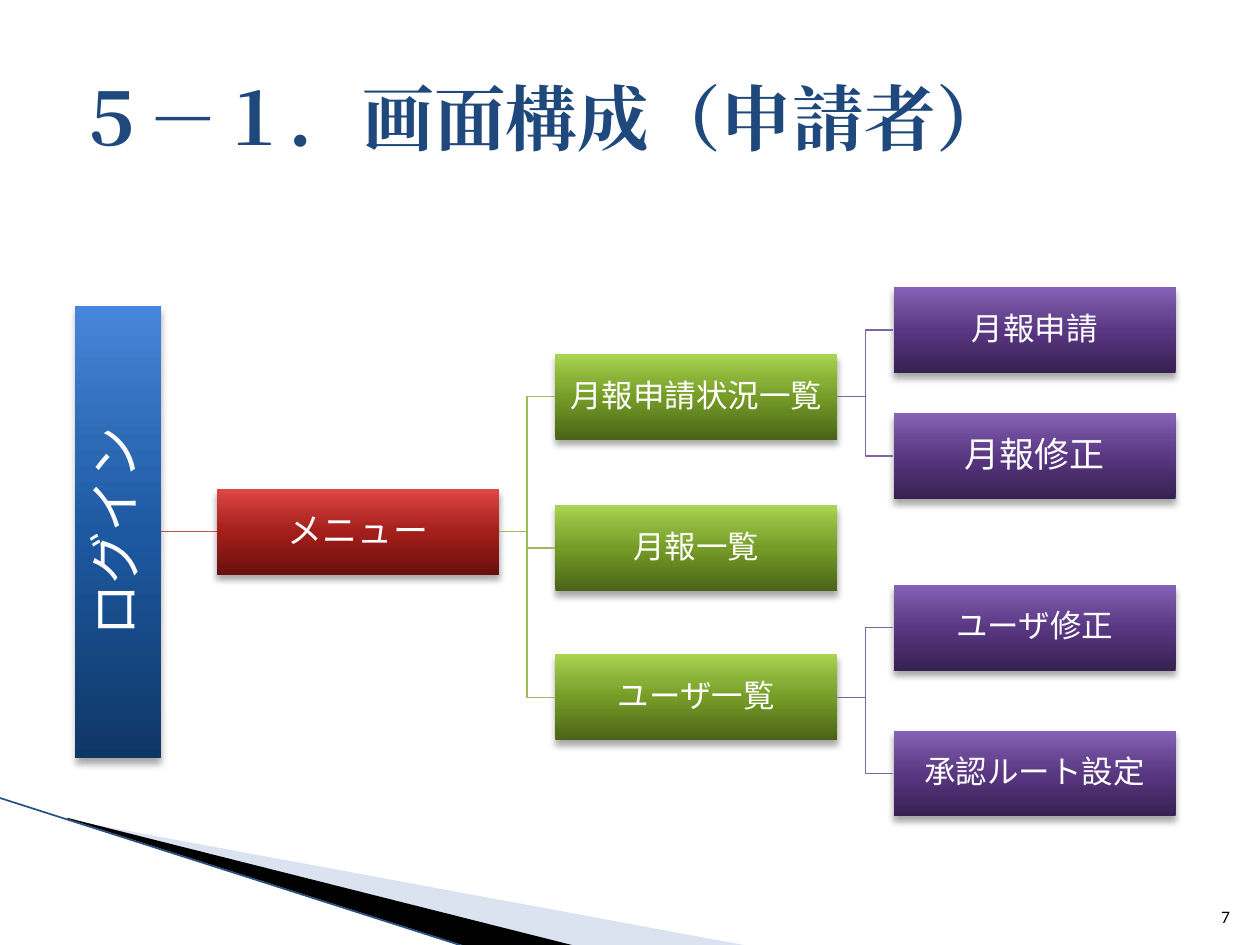
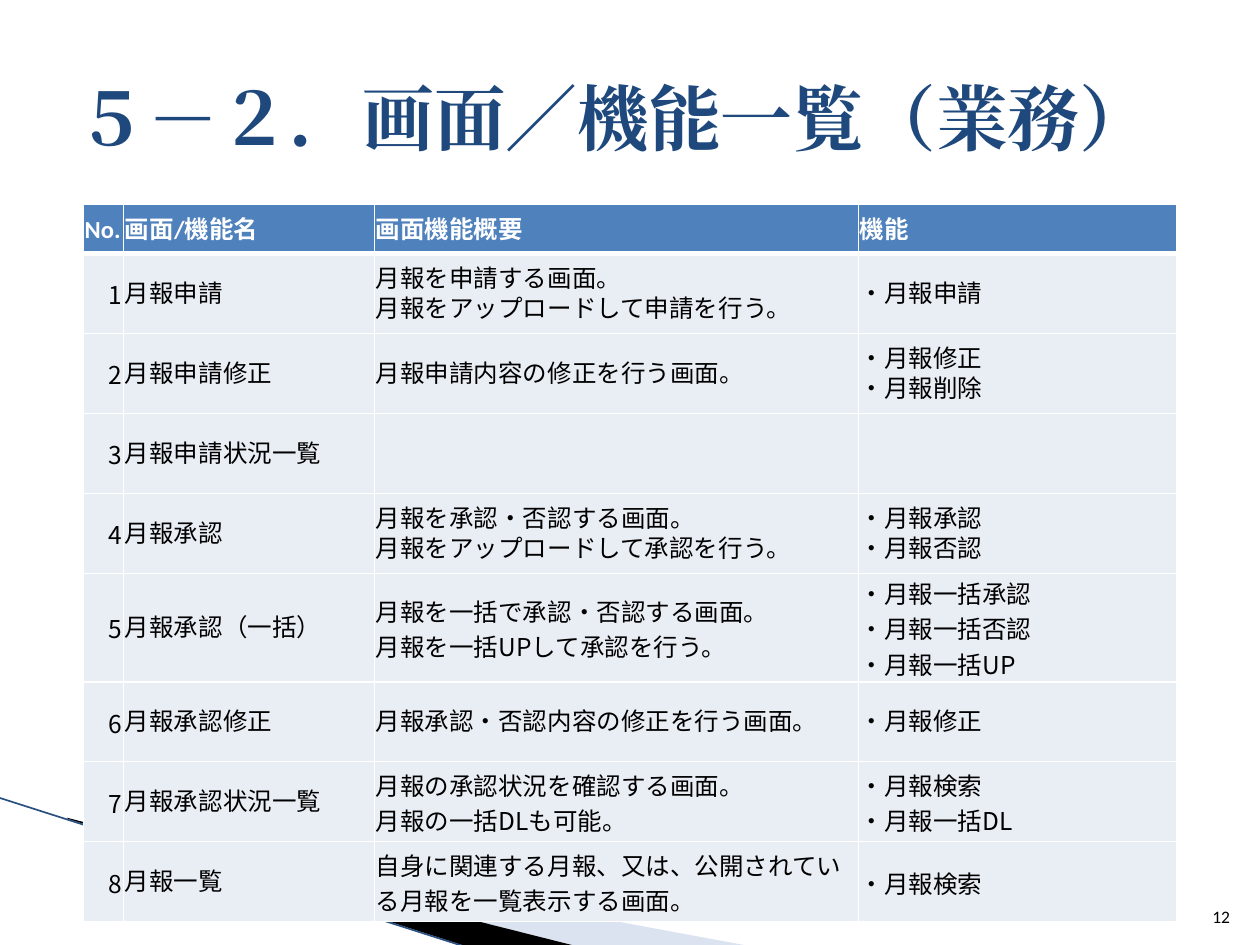
from dataclasses import dataclass
from typing import Optional

from lxml.etree import SubElement
from pptx import Presentation
from pptx.dml.color import RGBColor
from pptx.enum.shapes import MSO_CONNECTOR as Link, MSO_SHAPE as Preset
from pptx.enum.text import MSO_ANCHOR as Anchor, PP_ALIGN as Align
from pptx.oxml.ns import qn
from pptx.util import Pt

COLORS = {
    "title": "1F497D", "text": "000000", "white": "FFFFFF",
    "band_light": "A7B9DB", "band_dark": "000000", "band_line": "2A5082",
    "header": "4F81BD", "body": "E9EDF4",
    "red_line": "C0504D", "green_line": "9BBB59", "purple_line": "8064A2",
}
# Gradients run from the bottom edge to the top edge
GRADIENTS = {
    "blue": ("0F3766", "1D59A1", "2D6AB6", "4786DB"),
    "red": ("68100E", "A41E1A", "B92E2A", "DF4845"),
    "green": ("4A6316", "769C27", "89B137", "A9D651"),
    "purple": ("372152", "593782", "6A4895", "8763B7"),
}
STOPS = (0, 50, 70, 100)
LATIN, TITLE_FONT, JAPANESE = "Calibri", "Cambria", "Noto Sans CJK JP"


@dataclass
class Node:
    """One screen in the hierarchy; level 0 is the login bar."""
    label: str
    level: int
    middle: float
    parent: Optional[str] = None
    size: int = 18


@dataclass
class Screen:
    """One row of the function table."""
    name: str
    summary: tuple = ()
    features: tuple = ()
    font: str = LATIN


NODES = [
    Node("ログイン", 0, 303.9, size=30),
    Node("メニュー", 1, 303.9, "ログイン", 20),
    Node("月報申請状況一覧", 2, 226.8, "メニュー"),
    Node("月報一覧", 2, 313.2, "メニュー"),
    Node("ユーザ一覧", 2, 398.4, "メニュー"),
    Node("月報申請", 3, 188.6, "月報申請状況一覧"),
    Node("月報修正", 3, 260.6, "月報申請状況一覧", 20),
    Node("ユーザ修正", 3, 358.7, "ユーザ一覧"),
    Node("承認ルート設定", 3, 442, "ユーザ一覧"),
]
LEVEL_COLORS = ("blue", "red", "green", "purple")
LEVEL_LEFT, LEVEL_STEP = 124, 193.3
BOX_WIDTH, BOX_HEIGHT = 161.2, 49
LOGIN_LEFT, LOGIN_HEIGHT = 42.9, 258.5

HEADINGS = ("No.", "画面/機能名", "画面機能概要", "機能")
SCREENS = [
    Screen("月報申請", ("月報を申請する画面。", "月報をアップロードして申請を行う。"),
           ("・月報申請",)),
    Screen("月報申請修正", ("月報申請内容の修正を行う画面。",),
           ("・月報修正", "・月報削除")),
    Screen("月報申請状況一覧"),
    Screen("月報承認", ("月報を承認・否認する画面。", "月報をアップロードして承認を行う。"),
           ("・月報承認", "・月報否認")),
    Screen("月報承認（一括）",
           ("月報を一括で承認・否認する画面。", "月報を一括UPして承認を行う。"),
           ("・月報一括承認", "・月報一括否認", "・月報一括UP"), JAPANESE),
    Screen("月報承認修正", ("月報承認・否認内容の修正を行う画面。",), ("・月報修正",)),
    Screen("月報承認状況一覧",
           ("月報の承認状況を確認する画面。", "月報の一括DLも可能。"),
           ("・月報検索", "・月報一括DL"), JAPANESE),
    Screen("月報一覧",
           ("自身に関連する月報、又は、公開されている月報を一覧表示する画面。",),
           ("・月報検索",), JAPANESE),
]
COLUMN_WIDTHS = (23, 143.3, 276.5, 182.2)
HEADER_HEIGHT, ROW_HEIGHT, TALL_ROW, TALL_HEIGHT = 28, 45.7, 5, 52.5


def rgb(name: str) -> RGBColor:
    return RGBColor.from_string(COLORS[name])


def write(frame, *lines: str, size: float, font: str = LATIN, color: str = "text",
          bold: bool = False, align=Align.LEFT, spacing: float = 1.0) -> None:
    """Fill a text frame with one paragraph per line."""
    frame.word_wrap = True
    for index, line in enumerate(lines):
        para = frame.add_paragraph() if index else frame.paragraphs[0]
        para.alignment, para.line_spacing = align, spacing
        span = para.add_run()
        span.text = line
        span.font.size, span.font.bold = Pt(size), bold
        span.font.color.rgb = rgb(color)
        span.font.name = font
        SubElement(span.font._element, qn("a:ea"), typeface=font)


def set_margins(target, side: float, top: float, bottom: float) -> None:
    target.margin_left = target.margin_right = Pt(side)
    target.margin_top, target.margin_bottom = Pt(top), Pt(bottom)


def add_text(page, text: str, left: float, top: float, width: float, height: float,
             anchor, **style) -> None:
    box = page.shapes.add_textbox(Pt(left), Pt(top), Pt(width), Pt(height))
    box.text_frame.vertical_anchor = anchor
    write(box.text_frame, text, **style)


def style_line(connector, color: str, width: float) -> None:
    connector.line.color.rgb = rgb(color)
    connector.line.width = Pt(width)
    SubElement(connector._element.spPr, qn("a:effectLst"))


def add_band(page, points: list, color: str, opacity: int = 100) -> None:
    start, *rest = [(Pt(x), Pt(y)) for x, y in points]
    builder = page.shapes.build_freeform(*start)
    builder.add_line_segments(rest)
    band = builder.convert_to_shape()
    band.shadow.inherit = False
    band.line.fill.background()
    band.fill.solid()
    band.fill.fore_color.rgb = rgb(color)
    if opacity < 100:
        tone = band._element.spPr.find(f"{qn('a:solidFill')}/{qn('a:srgbClr')}")
        SubElement(tone, qn("a:alpha"), val=str(opacity * 1000))


def add_page(deck, title: str, number: int, draw_content) -> None:
    """Corner bands, content, title and page number, from back to front."""
    page = deck.slides.add_slide(deck.slide_layouts[6])
    add_band(page, [(39.6, 468.6), (428.4, 540.6), (328.3, 540.6), (39.6, 468)],
             "band_light", 40)
    add_band(page, [(38.2, 467.3), (329, 540.6), (267.8, 541.2), (38.9, 468)],
             "band_dark")
    edge = page.shapes.add_connector(Link.STRAIGHT, Pt(-0.7), Pt(455.8),
                                     Pt(267.1), Pt(541.4))
    style_line(edge, "band_line", 0.95)
    draw_content(page)
    add_text(page, title, 36, 21.6, 648, 90, Anchor.MIDDLE, size=41,
             font=TITLE_FONT, color="title", bold=True)
    add_text(page, str(number), 681.1, 504.7, 28.8, 28.8, Anchor.BOTTOM,
             size=10, align=Align.RIGHT)


def shade(box, gradient: str) -> None:
    """Give a box its vertical gradient and soft drop shadow."""
    box.fill.gradient()
    box.fill.gradient_angle = 90
    properties = box._element.spPr
    stops = properties.find(f"{qn('a:gradFill')}/{qn('a:gsLst')}")
    stops.clear()
    for position, color in zip(STOPS, GRADIENTS[gradient]):
        stop = SubElement(stops, qn("a:gs"), pos=str(position * 1000))
        SubElement(stop, qn("a:srgbClr"), val=color)
    box.line.fill.background()
    box.shadow.inherit = False
    shadow = SubElement(properties.find(qn("a:effectLst")), qn("a:outerShdw"),
                        blurRad=str(Pt(4)), dist=str(Pt(3)), dir="5400000",
                        rotWithShape="0")
    tone = SubElement(shadow, qn("a:srgbClr"), val=COLORS["text"])
    SubElement(tone, qn("a:alpha"), val="35000")


def add_node(page, node: Node):
    is_login = node.level == 0
    left = LOGIN_LEFT if is_login else LEVEL_LEFT + LEVEL_STEP * (node.level - 1)
    width, height = (BOX_HEIGHT, LOGIN_HEIGHT) if is_login else (BOX_WIDTH, BOX_HEIGHT)
    box = page.shapes.add_shape(Preset.RECTANGLE, Pt(left), Pt(node.middle - height / 2),
                                Pt(width), Pt(height))
    shade(box, LEVEL_COLORS[node.level])
    frame = box.text_frame
    frame.vertical_anchor = Anchor.MIDDLE
    set_margins(frame, 1, 1, 1)
    write(frame, node.label, size=node.size, color="white", align=Align.CENTER,
          spacing=0.9)
    if is_login:
        frame._txBody.bodyPr.set("vert", "vert270")
    return box


def draw_hierarchy(page) -> None:
    boxes = {}
    for node in NODES:
        box = boxes[node.label] = add_node(page, node)
        if node.parent:
            kind = Link.STRAIGHT if node.level == 1 else Link.ELBOW
            link = page.shapes.add_connector(kind, 0, 0, 0, 0)
            link.begin_connect(boxes[node.parent], 3)
            link.end_connect(box, 1)
            style_line(link, f"{LEVEL_COLORS[node.level]}_line", 0.75)


def style_cell(cell, fill: str, top: float = 1, bottom: float = 1) -> None:
    """White borders, fill, margins and anchor of a table cell."""
    properties = cell._tc.get_or_add_tcPr()
    for side, width in (("L", 1), ("R", 1), ("T", top), ("B", bottom)):
        border = SubElement(properties, qn(f"a:ln{side}"), w=str(Pt(width)))
        SubElement(SubElement(border, qn("a:solidFill")), qn("a:srgbClr"),
                   val=COLORS["white"])
    cell.fill.solid()
    cell.fill.fore_color.rgb = rgb(fill)
    cell.vertical_anchor = Anchor.MIDDLE
    set_margins(cell, 0.7, 0.7, 0)


def draw_functions(page) -> None:
    heights = [HEADER_HEIGHT] + [ROW_HEIGHT] * len(SCREENS)
    heights[TALL_ROW] = TALL_HEIGHT
    table = page.shapes.add_table(len(heights), len(HEADINGS), Pt(47.7), Pt(116.9),
                                  Pt(sum(COLUMN_WIDTHS)), Pt(sum(heights))).table
    for column, width in zip(table.columns, COLUMN_WIDTHS):
        column.width = Pt(width)
    for row, height in zip(table.rows, heights):
        row.height = Pt(height)

    # Header row
    for cell, heading in zip(table.rows[0].cells, HEADINGS):
        style_cell(cell, "header", bottom=3)
        write(cell.text_frame, heading, size=14, color="white", bold=True)

    # One row per screen
    for number, screen in enumerate(SCREENS, 1):
        contents = (
            ((str(number),), JAPANESE, Align.RIGHT),
            ((screen.name,), LATIN, Align.LEFT),
            (screen.summary, screen.font, Align.LEFT),
            (screen.features, screen.font, Align.LEFT),
        )
        for cell, (lines, font, align) in zip(table.rows[number].cells, contents):
            style_cell(cell, "body", top=3 if number == 1 else 1)
            write(cell.text_frame, *lines, size=14, font=font, align=align)


def main() -> None:
    deck = Presentation()
    deck.slide_width, deck.slide_height = Pt(720), Pt(540)
    add_page(deck, "５－１．画面構成（申請者）", 7, draw_hierarchy)
    add_page(deck, "５－２．画面／機能一覧（業務）", 12, draw_functions)
    deck.save("out.pptx")


if __name__ == "__main__":
    main()
